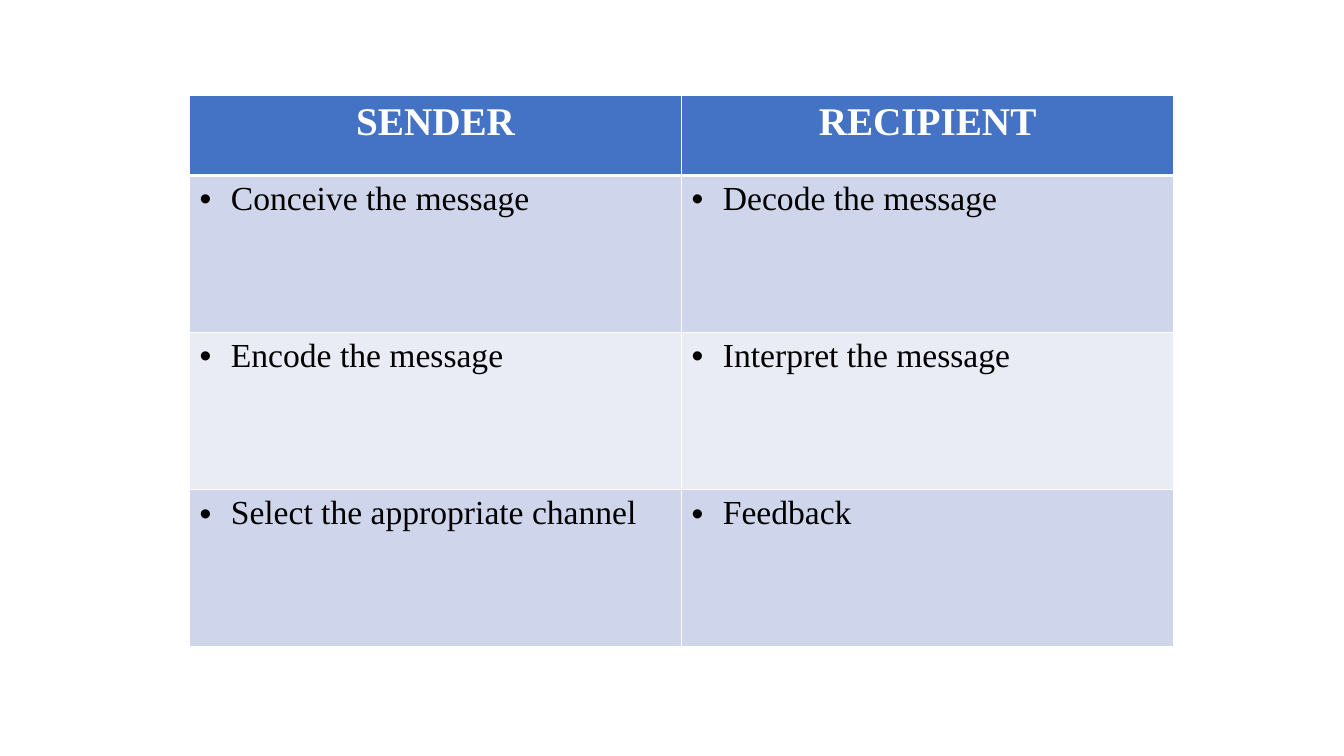
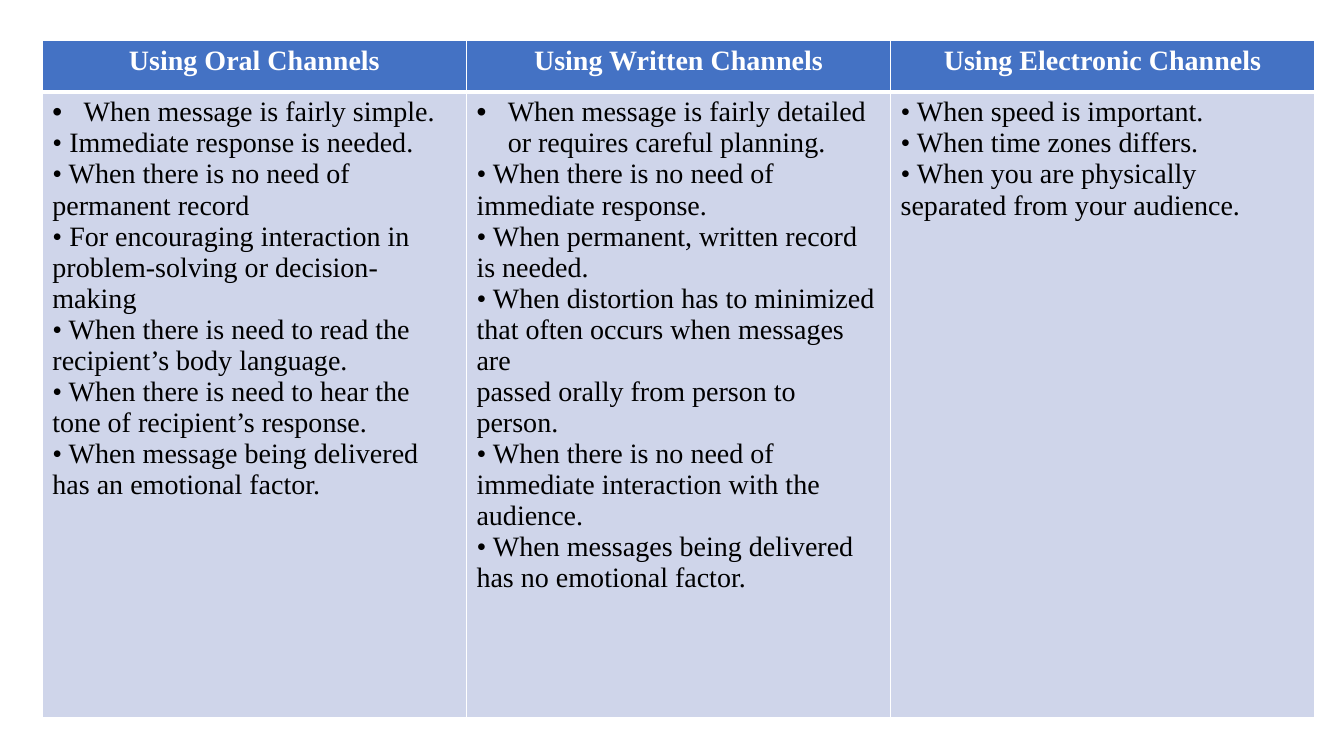
from lxml import etree
from pptx import Presentation
from pptx.dml.color import RGBColor
from pptx.enum.text import PP_ALIGN
from pptx.oxml.ns import qn
from pptx.util import Inches, Pt

CENTER, LEFT = PP_ALIGN.CENTER, PP_ALIGN.LEFT
FONT = "Times New Roman"
COLORS = {
    "header": "4472C4",
    "band_dark": "CFD5EA",
    "band_light": "E9EBF5",
    "border": "FFFFFF",
    "header_text": "FFFFFF",
    "body_text": "000000",
}
HANG = 0.31
THIN, THICK = 1, 3

ROLES = {
    "headers": ["SENDER", "RECIPIENT"],
    "rows": [
        [{"hanging": ["Conceive the message"]}, {"hanging": ["Decode the message"]}],
        [{"hanging": ["Encode the message"]}, {"hanging": ["Interpret the message"]}],
        [{"hanging": ["Select the appropriate channel"]}, {"hanging": ["Feedback"]}],
    ],
    "left": 1.88, "top": 0.95, "width": 9.76,
    "header_height": 0.79, "row_height": 1.56,
    "header_size": 28, "body_size": 24,
}

CHANNELS = {
    "headers": ["Using Oral Channels", "Using Written Channels", "Using Electronic Channels"],
    "rows": [[
        {
            "hanging": ["When message is fairly simple."],
            "flush": [
                "• Immediate response is needed.",
                "• When there is no need of permanent record",
                "• For encouraging interaction in problem-solving or decision-making",
                "• When there is need to read the recipient’s body language.",
                "• When there is need to hear the tone of recipient’s response.",
                "• When message being delivered has an emotional factor.",
            ],
        },
        {
            "hanging": ["When message is fairly detailed or requires careful planning."],
            "flush": [
                "• When there is no need of immediate response.",
                "• When permanent, written record is needed.",
                "• When distortion has to minimized that often occurs when messages are",
                "passed orally from person to person.",
                "• When there is no need of immediate interaction with the audience.",
                "• When messages being delivered has no emotional factor.",
            ],
        },
        {
            "flush": [
                "• When speed is important.",
                "• When time zones differs.",
                "• When you are physically separated from your audience.",
            ],
        },
    ]],
    "left": 0.42, "top": 0.4, "width": 12.62,
    "header_height": 0.51, "row_height": 6.21,
    "header_size": 20, "body_size": 20,
}


def add_bullet(paragraph):
    properties = paragraph._p.get_or_add_pPr()
    properties.set("marL", str(Inches(HANG)))
    properties.set("indent", str(-Inches(HANG)))
    etree.SubElement(properties, qn("a:buFont"), typeface="Arial")
    etree.SubElement(properties, qn("a:buChar"), char="•")


def write(paragraph, text, *, size, color, bold=False, align=LEFT, bullet=False):
    if bullet:
        add_bullet(paragraph)
    paragraph.alignment = align
    run = paragraph.add_run()
    run.text = text
    run.font.name = FONT
    run.font.size = Pt(size)
    run.font.bold = bold
    run.font.color.rgb = RGBColor.from_string(COLORS[color])


def style_cell(cell, fill, top=THIN, bottom=THIN):
    properties = cell._tc.get_or_add_tcPr()
    for side, width in (("L", THIN), ("R", THIN), ("T", top), ("B", bottom)):
        line = etree.SubElement(properties, qn(f"a:ln{side}"), w=str(Pt(width)))
        solid = etree.SubElement(line, qn("a:solidFill"))
        etree.SubElement(solid, qn("a:srgbClr"), val=COLORS["border"])
    cell.fill.solid()
    cell.fill.fore_color.rgb = RGBColor.from_string(COLORS[fill])


def fill_body(cell, content, size):
    items = [(text, True) for text in content.get("hanging", [])]
    items += [(text, False) for text in content.get("flush", [])]
    frame = cell.text_frame
    for index, (text, bullet) in enumerate(items):
        paragraph = frame.add_paragraph() if index else frame.paragraphs[0]
        write(paragraph, text, size=size, color="body_text", bullet=bullet)


def add_table_slide(deck, data):
    slide = deck.slides.add_slide(deck.slide_layouts[6])
    headers, rows = data["headers"], data["rows"]
    height = data["header_height"] + len(rows) * data["row_height"]
    table = slide.shapes.add_table(
        len(rows) + 1, len(headers), Inches(data["left"]), Inches(data["top"]),
        Inches(data["width"]), Inches(height)).table
    for column in table.columns:
        column.width = Inches(data["width"] / len(headers))
    for index, row in enumerate(table.rows):
        row.height = Inches(data["row_height"] if index else data["header_height"])

    for column, title in enumerate(headers):
        cell = table.cell(0, column)
        style_cell(cell, "header", bottom=THICK)
        write(cell.text_frame.paragraphs[0], title, size=data["header_size"],
              color="header_text", bold=True, align=CENTER)
    for number, contents in enumerate(rows, start=1):
        band = "band_dark" if number % 2 else "band_light"
        for column, content in enumerate(contents):
            cell = table.cell(number, column)
            style_cell(cell, band, top=THICK if number == 1 else THIN)
            fill_body(cell, content, data["body_size"])


def main():
    deck = Presentation()
    deck.slide_width, deck.slide_height = Inches(13.33), Inches(7.5)
    for data in (ROLES, CHANNELS):
        add_table_slide(deck, data)
    deck.save("out.pptx")


if __name__ == "__main__":
    main()
